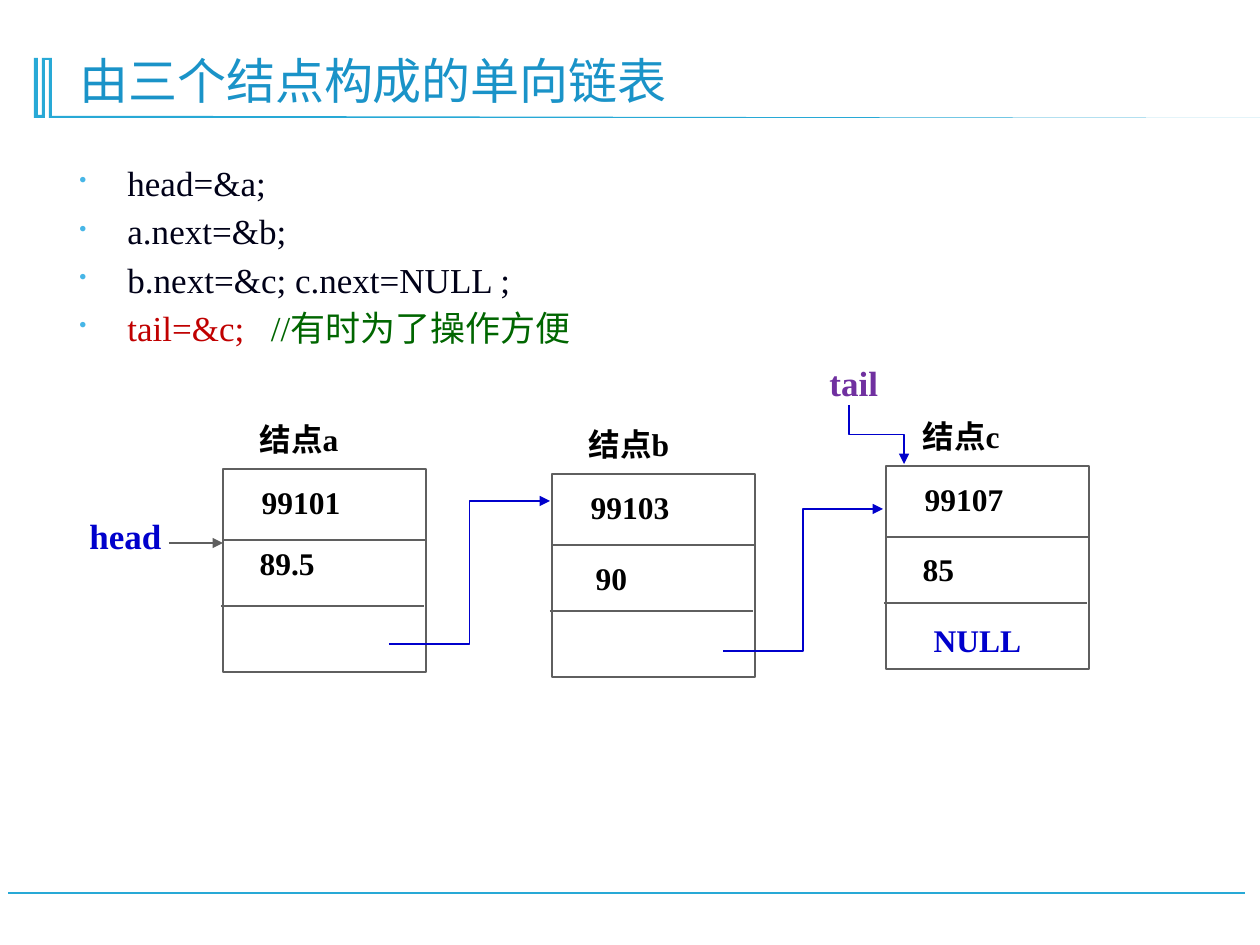
from lxml import etree
from pptx import Presentation
from pptx.dml.color import RGBColor
from pptx.enum.shapes import MSO_CONNECTOR, MSO_SHAPE
from pptx.enum.text import MSO_ANCHOR
from pptx.oxml import parse_xml
from pptx.oxml.ns import qn
from pptx.util import Pt

STRAIGHT, ELBOW = MSO_CONNECTOR.STRAIGHT, MSO_CONNECTOR.ELBOW
RECTANGLE = MSO_SHAPE.RECTANGLE
TOP, BOTTOM = MSO_ANCHOR.TOP, MSO_ANCHOR.BOTTOM
FONT = "Times New Roman"
NAMESPACE = "http://schemas.openxmlformats.org/drawingml/2006/main"
SCALE = 914400 / 126

CYAN, TITLE_BLUE, BULLET_BLUE = "28A9D6", "1A93C8", "47B6E7"
INK, RED, GREEN, PURPLE = "000118", "C00000", "006600", "7030A0"
BLACK, WHITE, GRAY, BLUE = "000000", "FFFFFF", "5F5F5F", "0000CC"

TITLE = "由三个结点构成的单向链表"
STATEMENTS = [
    [("head=&a;", INK)],
    [("a.next=&b;", INK)],
    [("b.next=&c; c.next=NULL ;", INK)],
    [("tail=&c;", RED), (" ", RED), ("//有时为了操作方便", GREEN)],
]
BULLET_INDENT = 48
COMMENT_GAP = 1000

NODE_SIZE = 203
DIVIDERS = [(0, 71), (-2, 137)]
NODES = [
    {"at": (223, 469), "label": "结点a", "values": [("99101", BLACK, 10, 8), ("89.5", BLACK, 8, 69)]},
    {"at": (552, 474), "label": "结点b", "values": [("99103", BLACK, 10, 8), ("90", BLACK, 15, 79)]},
    {"at": (886, 466), "label": "结点c",
     "values": [("99107", BLACK, 10, 8), ("85", BLACK, 8, 78), ("NULL", BLUE, 19, 149)]},
]
POINTERS = [("head", BLUE, 77, 508), ("tail", PURPLE, 817, 355)]
LINKS = [(389, 644, 550, 501), (723, 651, 883, 509)]
HEAD_ARROW = (169, 543, 223, 543)
TAIL_ARROW = (847, 407, 906, 462)
FOOTER = (1245, 893, 8, 893)
ORNAMENT = [(52, 58), (52, 116), (176, 116), (1260, 118), (49, 118), (49, 60), (45, 60),
            (45, 118), (34, 118), (34, 58), (38, 58), (38, 115), (42, 115), (42, 58)]


def px(length):
    return round(length * SCALE)


def color(value):
    return RGBColor.from_string(value)


def format_span(span, size, value, bold=False):
    span.font.name = FONT
    span.font.size = Pt(size)
    span.font.bold = bold
    span.font.color.rgb = color(value)


def add_box(page, left, top, width, height, anchor=TOP, indent=0):
    box = page.shapes.add_textbox(px(left), px(top), px(width), px(height))
    frame = box.text_frame
    frame.word_wrap = True
    frame.vertical_anchor = anchor
    frame.margin_left = px(12.6 + indent)
    return frame


def add_text(page, text, area, size, value, bold=True, anchor=TOP, indent=0):
    frame = add_box(page, *area, anchor=anchor, indent=indent)
    frame.text = text
    para = frame.paragraphs[0]
    format_span(para.runs[0], size, value, bold)
    return para


def add_line(page, kind, ends, value, width=0.75, arrow=False):
    line = page.shapes.add_connector(kind, *map(px, ends))
    line.line.color.rgb = color(value)
    line.line.width = Pt(width)
    properties = line._element.spPr
    if arrow:
        etree.SubElement(properties.find(qn("a:ln")), qn("a:tailEnd"), type="triangle")
    etree.SubElement(properties, qn("a:effectLst"))
    return line


def add_bullet(para):
    properties = para._p.get_or_add_pPr()
    properties.set("marL", str(px(BULLET_INDENT)))
    properties.set("indent", str(-px(BULLET_INDENT)))
    for xml in (f'<a:buClr xmlns:a="{NAMESPACE}"><a:srgbClr val="{BULLET_BLUE}"/></a:buClr>',
                f'<a:buSzPct xmlns:a="{NAMESPACE}" val="60000"/>',
                f'<a:buChar xmlns:a="{NAMESPACE}" char="•"/>'):
        properties.append(parse_xml(xml))


def add_frame(page):
    add_line(page, STRAIGHT, FOOTER, CYAN, 1.25)
    builder = page.shapes.build_freeform(*ORNAMENT[0], scale=SCALE)
    builder.add_line_segments(ORNAMENT[1:], close=True)
    ornament = builder.convert_to_shape()
    ornament.shadow.inherit = False
    ornament.fill.solid()
    ornament.fill.fore_color.rgb = color(CYAN)
    ornament.line.fill.background()
    title = add_text(page, TITLE, (67, 35, 1115, 81), 28, TITLE_BLUE, bold=False, anchor=BOTTOM)
    title.line_spacing = 0.9


def add_statements(page):
    frame = add_box(page, 67, 160, 1115, 207)
    for index, parts in enumerate(STATEMENTS):
        para = frame.add_paragraph() if index else frame.paragraphs[0]
        add_bullet(para)
        para.line_spacing = 0.9
        if index:
            para.space_before = Pt(6)
        for text, value in parts:
            span = para.add_run()
            span.text = text
            format_span(span, 20, value)
            if text == " ":
                span.font._element.set("spc", str(COMMENT_GAP))


def add_node(page, node):
    left, top = node["at"]
    box = page.shapes.add_shape(RECTANGLE, px(left), px(top), px(NODE_SIZE), px(NODE_SIZE))
    box.shadow.inherit = False
    box.fill.solid()
    box.fill.fore_color.rgb = color(WHITE)
    box.line.color.rgb = color(GRAY)
    box.line.width = Pt(1)
    for x, y in DIVIDERS:
        add_line(page, STRAIGHT, (left + x, top + y, left + x + NODE_SIZE, top + y), GRAY)
    add_text(page, node["label"], (left, top - 55, NODE_SIZE, 50), 18, BLACK, indent=24)
    for text, value, x, y in node["values"]:
        add_text(page, text, (left + x, top + y, 181, 48), 18, value, indent=16)


def main():
    deck = Presentation()
    deck.slide_width, deck.slide_height = px(1260), px(945)
    page = deck.slides.add_slide(deck.slide_layouts[6])
    add_frame(page)
    add_statements(page)
    for node in NODES:
        add_node(page, node)
    for text, value, left, top in POINTERS:
        add_text(page, text, (left, top, 117, 55), 20, value)
    add_line(page, STRAIGHT, HEAD_ARROW, GRAY, arrow=True)
    for ends in LINKS:
        add_line(page, ELBOW, ends, BLUE, arrow=True)
    tail_arrow = add_line(page, ELBOW, TAIL_ARROW, BLUE, arrow=True)
    transform = tail_arrow._element.spPr.find(qn("a:xfrm"))
    transform.set("rot", "16200000")
    transform.set("flipH", "1")
    deck.save("out.pptx")


if __name__ == "__main__":
    main()
